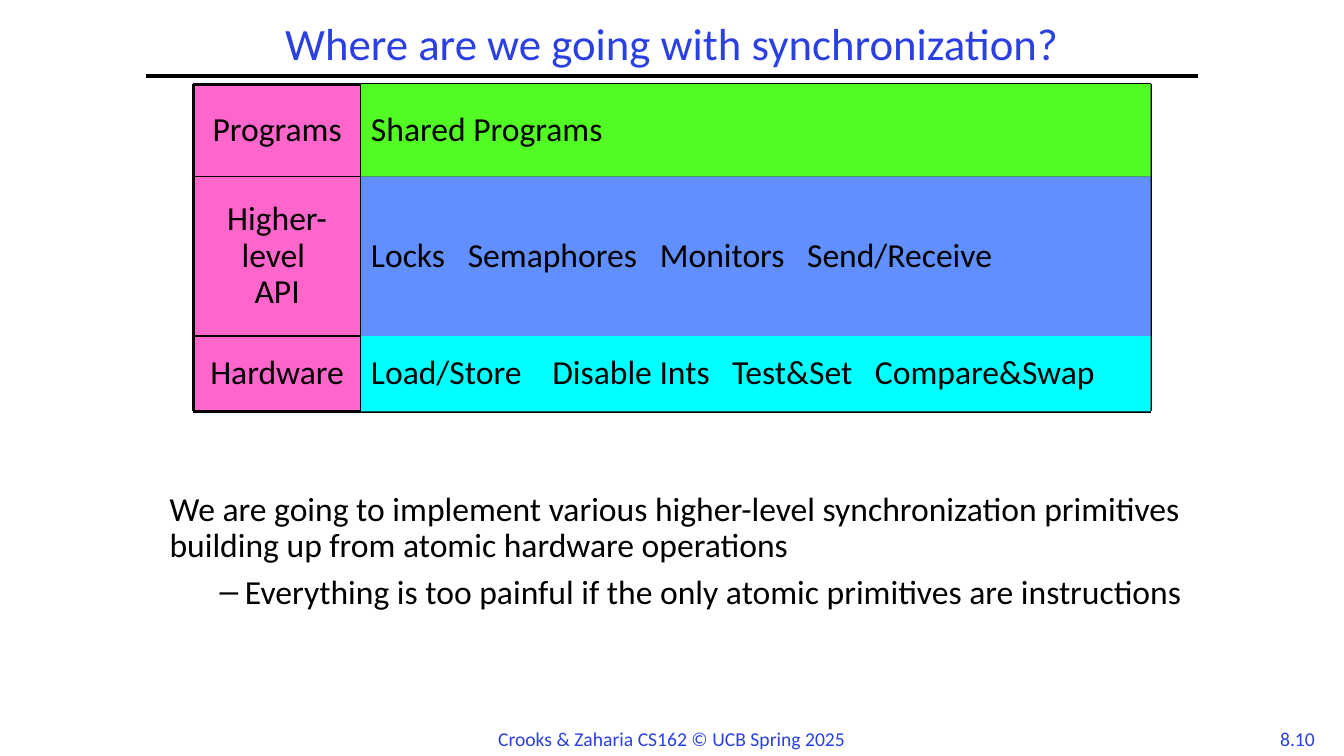
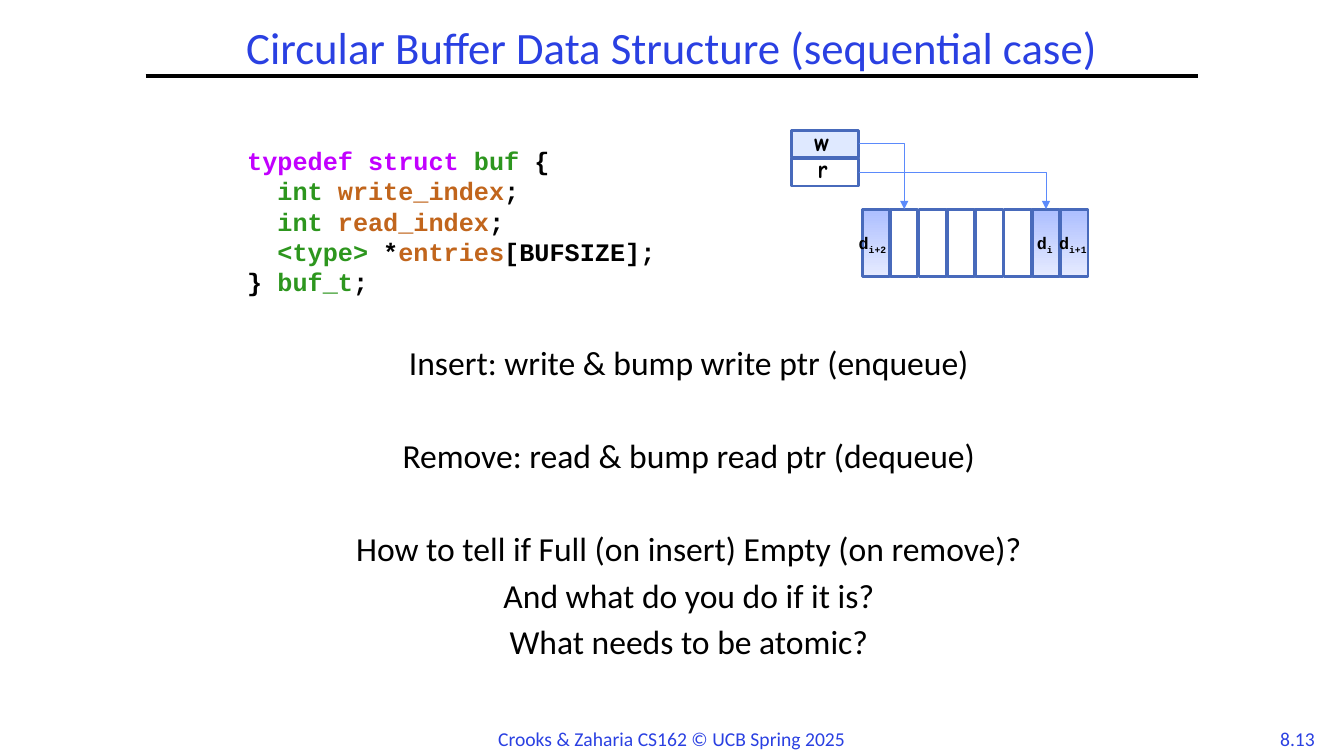
"""Build two lecture slides on synchronization and the circular buffer."""
import pptx
import pptx.dml.color
import pptx.enum.shapes
import pptx.enum.text
import pptx.oxml.ns
import pptx.util
import lxml.etree

Cm = pptx.util.Cm
Pt = pptx.util.Pt
qn = pptx.oxml.ns.qn
ALIGN = pptx.enum.text.PP_ALIGN
ANCHOR = pptx.enum.text.MSO_ANCHOR
CONNECTOR = pptx.enum.shapes.MSO_CONNECTOR
RECTANGLE = pptx.enum.shapes.MSO_SHAPE.RECTANGLE
COLOURS = {
    "title": "2A40E2", "text": "000000", "layer": "FF66CC",
    "programs": "53FB25", "api": "618FFD", "hardware": "00FFFF",
    "keyword": "C200FF", "type": "2D961E", "name": "C1651C",
    "outline": "486ABB", "arrow": "5B8AFB", "pointer": "DFE9FF",
    "entry top": "ACBEFF", "entry bottom": "E6EBFF",
}
COLOURS = {name: pptx.dml.color.RGBColor.from_string(value) for name, value in COLOURS.items()}


def write(paragraph, text, size=24, colour="text", font="Calibri", bold=False):
    """Add one formatted run."""
    run = paragraph.add_run()
    run.text = text
    run.font.size = Pt(size)
    run.font.name = font
    run.font.bold = bold
    run.font.color.rgb = COLOURS[colour]
    return run


def draw_line(slide, kind, start, end, colour, width):
    """Add a connector without a shadow between two points in centimetres."""
    connector = slide.shapes.add_connector(kind, Cm(start[0]), Cm(start[1]), Cm(end[0]), Cm(end[1]))
    connector.line.color.rgb = COLOURS[colour]
    connector.line.width = Pt(width)
    lxml.etree.SubElement(connector._element.spPr, qn("a:effectLst"))
    return connector


presentation = pptx.Presentation()
presentation.slide_width = Cm(33.87)
presentation.slide_height = Cm(19.05)

FOOTER = "Crooks & Zaharia CS162 © UCB Spring 2025"
headings = [
    ("Where are we going with synchronization?", 0.42, 0.9, "8.10"),
    ("Circular Buffer Data Structure (sequential case)", 0.53, 0.85, "8.13"),
]
slides = []
for heading, top, spacing, number in headings:
    slide = presentation.slides.add_slide(presentation.slide_layouts[1])
    slides.append(slide)
    title = slide.shapes.title
    title.left, title.top, title.width, title.height = Cm(0), Cm(top), Cm(33.87), Cm(1.48)
    title.text_frame.auto_size = pptx.enum.text.MSO_AUTO_SIZE.NONE
    title.text_frame.vertical_anchor = ANCHOR.MIDDLE
    paragraph = title.text_frame.paragraphs[0]
    paragraph.alignment = ALIGN.CENTER
    paragraph.line_spacing = spacing
    write(paragraph, heading, 32, "title")

    draw_line(slide, CONNECTOR.STRAIGHT, (3.67, 1.91), (30.2, 1.91), "text", 3)
    for text, left, width in [(FOOTER, 12.27, 9.32), (number, 31.96, 1.48)]:
        footer = slide.shapes.add_textbox(Cm(left), Cm(18.19), Cm(width), Cm(0.85))
        footer.text_frame.word_wrap = False
        paragraph = footer.text_frame.paragraphs[0]
        paragraph.alignment = ALIGN.CENTER
        write(paragraph, text, 14, "title")

bodies = [
    ((4.02, 12.28, 26.88, 5.92), ALIGN.LEFT, [
        ("We are going to implement various higher-level synchronization primitives "
         "building up from atomic hardware operations", 0, 0),
        ("Everything is too painful if the only atomic primitives are instructions", 1, 7.2),
    ]),
    ((2.12, 8.61, 30.48, 8.53), ALIGN.CENTER, [
        ("Insert: write & bump write ptr (enqueue)", 0, 0),
        ("Remove: read & bump read ptr (dequeue)", 0, 40.6),
        ("How to tell if Full (on insert) Empty (on remove)?", 0, 40.6),
        ("And what do you do if it is?", 0, 7.2),
        ("What needs to be atomic?", 0, 7.2),
    ]),
]
for slide, (box, alignment, lines) in zip(slides, bodies):
    body = slide.placeholders[1]
    body.left, body.top, body.width, body.height = [Cm(length) for length in box]
    frame = body.text_frame
    frame.auto_size = pptx.enum.text.MSO_AUTO_SIZE.NONE
    frame.vertical_anchor = ANCHOR.TOP
    for index, (text, level, space) in enumerate(lines):
        paragraph = frame.add_paragraph() if index else frame.paragraphs[0]
        properties = paragraph._p.get_or_add_pPr()
        properties.set("marL", str(Cm(1.9 * level)))
        properties.set("indent", str(Cm(-0.64 * level)))
        if level:
            lxml.etree.SubElement(properties, qn("a:buChar"), char="–")
        else:
            lxml.etree.SubElement(properties, qn("a:buNone"))
        paragraph.level = level
        paragraph.alignment = alignment
        paragraph.line_spacing = 0.9
        paragraph.space_before = Pt(space)
        write(paragraph, text)

synchronization, buffer = slides

LEFT, DIVIDER, RIGHT = 4.87, 9.1, 29
ROW_EDGES = [2.12, 4.45, 8.47, 10.37]
layers = [
    ("Programs", "Shared Programs", "programs", []),
    ("Higher-level \vAPI", "Locks\tSemaphores\tMonitors\tSend/Receive", "api", [2.44, 7.28, 10.99]),
    ("Hardware", "Load/Store\tDisable Ints\tTest&Set\tCompare&Swap", "hardware", [4.57, 9.1, 12.7]),
]
layer_cells = [(LEFT, DIVIDER, row, layer[0], "layer", []) for row, layer in enumerate(layers)]
content_cells = [(DIVIDER, RIGHT, row, *layer[1:]) for row, layer in enumerate(layers)]
grid_lines = [((LEFT, edge), (RIGHT, edge), width) for edge, width in zip(ROW_EDGES, [2.25, 1, 1, 2.25])]
grid_lines += [((edge, ROW_EDGES[0]), (edge, ROW_EDGES[-1]), width)
               for edge, width in [(LEFT, 2.25), (DIVIDER, 1), (RIGHT, 2.25)]]
for cells, lines in [(layer_cells, grid_lines), (content_cells, [])]:
    for left, right, row, text, colour, stops in cells:
        top, bottom = ROW_EDGES[row:row + 2]
        shape = synchronization.shapes.add_shape(RECTANGLE, Cm(left), Cm(top),
                                                 Cm(right - left), Cm(bottom - top))
        shape.shadow.inherit = False
        shape.fill.solid()
        shape.fill.fore_color.rgb = COLOURS[colour]
        shape.line.fill.background()
        shape.text_frame.word_wrap = True
        shape.text_frame.vertical_anchor = ANCHOR.MIDDLE
        paragraph = shape.text_frame.paragraphs[0]
        if stops:
            tabs = lxml.etree.SubElement(paragraph._p.get_or_add_pPr(), qn("a:tabLst"))
            for stop in stops:
                lxml.etree.SubElement(tabs, qn("a:tab"), pos=str(Cm(stop)), algn="l")
        paragraph.alignment = ALIGN.CENTER if colour == "layer" else ALIGN.LEFT
        paragraph.line_spacing = 0.9
        for index, part in enumerate(text.split("\v")):
            if index:
                paragraph.add_line_break()
            write(paragraph, part)
    for start, end, width in lines:
        draw_line(synchronization, CONNECTOR.STRAIGHT, start, end, "text", width)

code_lines = [
    [("typedef struct ", "keyword"), ("buf", "type"), (" {", "text")],
    [("  int ", "type"), ("write_index", "name"), (";", "text")],
    [("  int ", "type"), ("read_index", "name"), (";", "text")],
    [("  <type>", "type"), (" *", "text"), ("entries", "name"), ("[BUFSIZE];", "text")],
    [("} ", "text"), ("buf_t", "type"), (";", "text")],
]
code = buffer.shapes.add_textbox(Cm(5.98), Cm(3.54), Cm(11.18), Cm(4.11))
code.text_frame.word_wrap = True
for index, pieces in enumerate(code_lines):
    paragraph = code.text_frame.add_paragraph() if index else code.text_frame.paragraphs[0]
    for text, colour in pieces:
        write(paragraph, text, 18, colour, "Courier New", True)

ENTRY_LEFT, ENTRY_TOP, ENTRY_WIDTH, ENTRY_HEIGHT = 21.73, 5.27, 0.69, 1.7
ENTRY_PITCH = 5 / 7
POINTER_LEFT = 19.94
filled_slots = [0, 6, 7]
pointers = [("pointer", 3.28, 1), ("", 4, 6)]

boxes = [(ENTRY_LEFT + slot * ENTRY_PITCH, ENTRY_TOP, ENTRY_WIDTH, ENTRY_HEIGHT,
          "entry" if slot in filled_slots else "") for slot in range(8)]
boxes += [(POINTER_LEFT, top, ENTRY_HEIGHT, ENTRY_WIDTH, fill) for fill, top, slot in pointers]
for left, top, width, height, fill in boxes:
    shape = buffer.shapes.add_shape(RECTANGLE, Cm(left), Cm(top), Cm(width), Cm(height))
    shape.shadow.inherit = False
    shape.line.color.rgb = COLOURS["outline"]
    shape.line.width = Pt(2)
    if fill == "entry":
        shape.fill.gradient()
        shape.fill.gradient_angle = 270
        for stop, colour in zip(shape.fill.gradient_stops, ["entry top", "entry bottom"]):
            stop.color.rgb = COLOURS[colour]
    elif fill:
        shape.fill.solid()
        shape.fill.fore_color.rgb = COLOURS[fill]
    else:
        shape.fill.background()

labels = [
    ("w", "", 20.27, 3.05, 0.97, 1.02), ("r", "", 20.35, 3.73, 0.81, 1.02),
    ("d", "i", 25.88, 5.74, 0.94, 0.76), ("d", "i+1", 26.44, 5.74, 1.27, 0.76),
    ("d", "i+2", 21.39, 5.74, 1.27, 0.76),
]
for text, subscript, left, top, width, height in labels:
    label = buffer.shapes.add_textbox(Cm(left), Cm(top), Cm(width), Cm(height))
    label.text_frame.word_wrap = False
    paragraph = label.text_frame.paragraphs[0]
    size, font = (12, "Courier New") if subscript else (18, "Comic Neue")
    write(paragraph, text, size, "text", font, True)
    if subscript:
        run = write(paragraph, subscript, size, "text", font, True)
        run.font._element.set("baseline", "-25000")

for fill, top, slot in pointers:
    start = (POINTER_LEFT + ENTRY_HEIGHT, top + ENTRY_WIDTH / 2)
    end = (ENTRY_LEFT + slot * ENTRY_PITCH + ENTRY_WIDTH / 2, ENTRY_TOP)
    arrow = draw_line(buffer, CONNECTOR.ELBOW, start, end, "arrow", 0.75)
    arrow._element.spPr.find(qn("a:prstGeom")).set("prst", "bentConnector2")
    lxml.etree.SubElement(arrow.line._get_or_add_ln(), qn("a:tailEnd"), type="triangle")

presentation.save("out.pptx")
